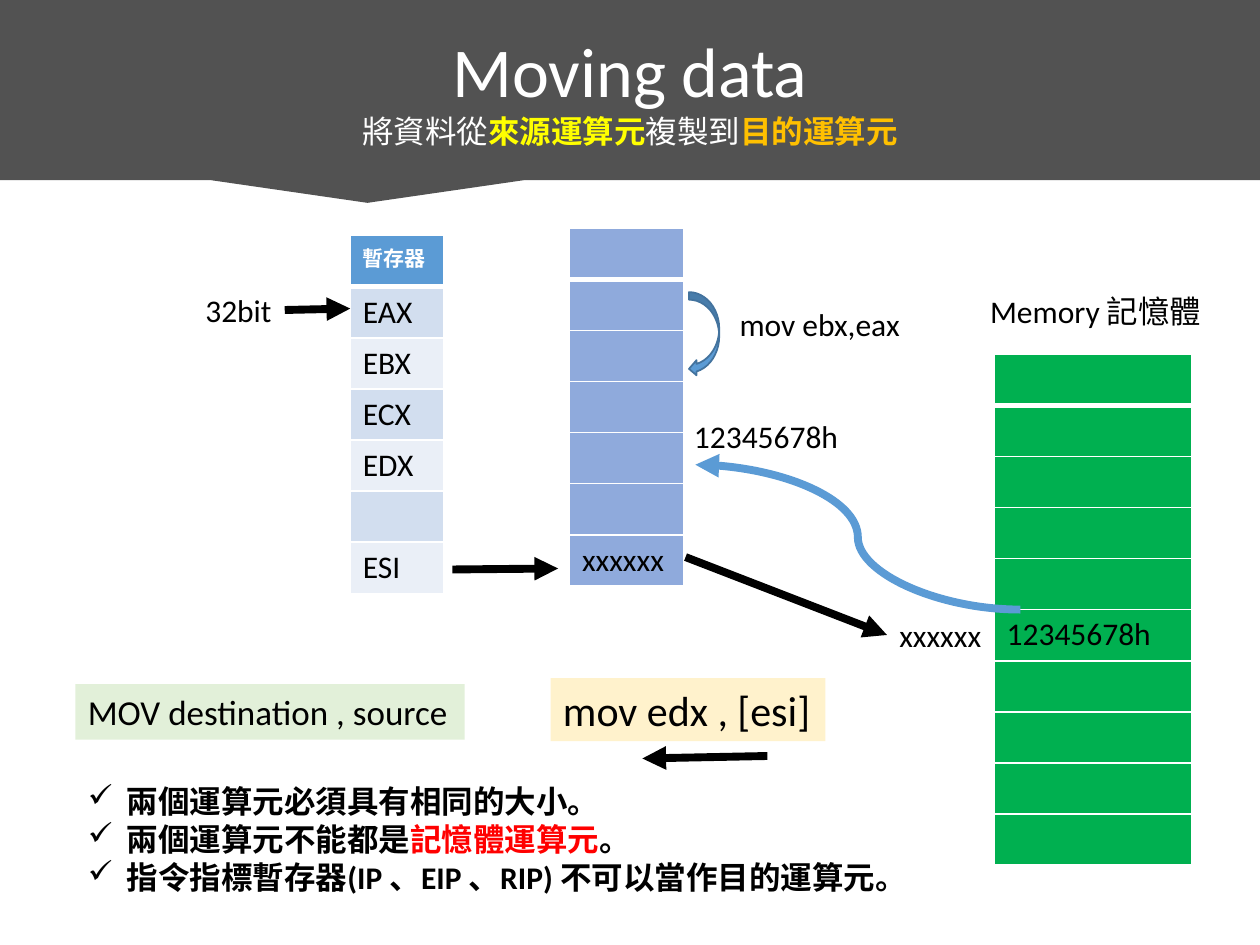
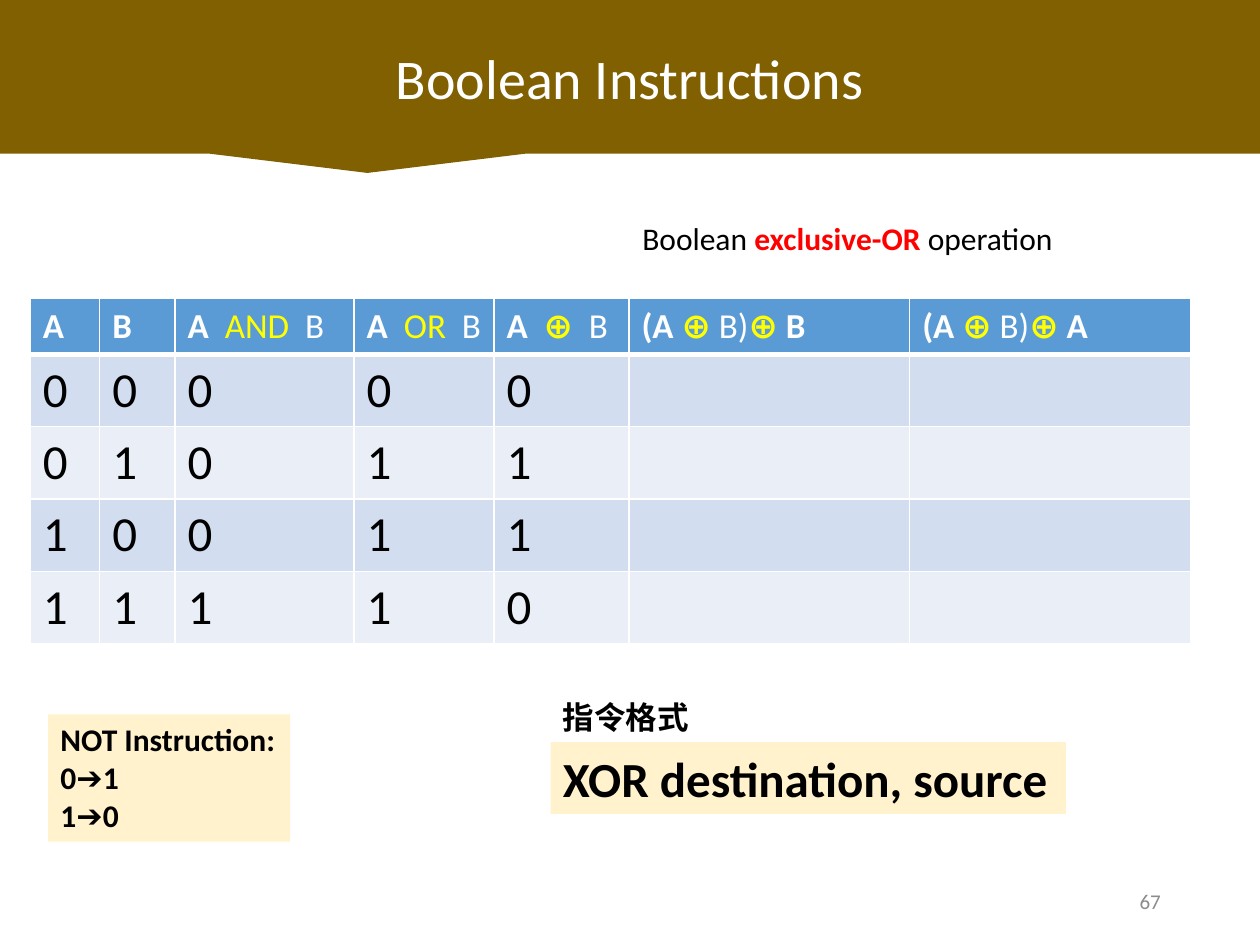
import itertools

import lxml.etree
import pptx
import pptx.dml.color
import pptx.enum.shapes
import pptx.enum.text
import pptx.oxml.ns
import pptx.util

Cm = pptx.util.Cm
Pt = pptx.util.Pt
SHAPE = pptx.enum.shapes.MSO_SHAPE
CONNECTOR = pptx.enum.shapes.MSO_CONNECTOR
ALIGN = pptx.enum.text.PP_ALIGN
ANCHOR = pptx.enum.text.MSO_ANCHOR
AUTO_SIZE = pptx.enum.text.MSO_AUTO_SIZE
qn = pptx.oxml.ns.qn

FONT = "Calibri"
BLACK, WHITE, RED, YELLOW, ORANGE = "000000", "FFFFFF", "FF0000", "FFFF00", "FFC000"
BLUE, BLUE_EDGE, PERIWINKLE, GREEN = "5B9BD5", "43739E", "8FAADC", "00B050"
STRIPES = ("D2DEEF", "EAEFF7")
PALE_GREEN, CREAM, GREY = "E2F0D9", "FFF2CC", "8C8C8C"
SLIDE_WIDTH = 25.4
LINE_HEIGHT = 1.02
ROW_HEIGHT = 1.03


def rgb(value):
    return pptx.dml.color.RGBColor.from_string(value)


def add_xml(parent, tag, **attributes):
    return lxml.etree.SubElement(parent, qn(tag), attributes)


def write(paragraph, runs, size, color=BLACK, bold=False):
    """Add runs; each is a string or a (text, color, bold) tuple."""
    for run_spec in runs:
        if isinstance(run_spec, str):
            run_spec = (run_spec, color, bold)
        text, run_color, run_bold = run_spec
        run = paragraph.add_run()
        run.text = text
        run.font.name = FONT
        run.font.size = Pt(size)
        run.font.bold = run_bold
        run.font.color.rgb = rgb(run_color)


def paragraphs_of(frame, count):
    return [frame.paragraphs[0]] + [frame.add_paragraph() for _ in range(count - 1)]


def add_label(slide, box, lines, size=18, bold=False, fill=None):
    """Place an unwrapped text, on a filled rectangle if a fill is given."""
    place = [Cm(length) for length in box]
    if fill:
        label = slide.shapes.add_shape(SHAPE.RECTANGLE, *place)
        label.shadow.inherit = False
        label.fill.solid()
        label.fill.fore_color.rgb = rgb(fill)
        label.line.fill.background()
    else:
        label = slide.shapes.add_textbox(*place)
    frame = label.text_frame
    frame.word_wrap = False
    frame.auto_size = AUTO_SIZE.SHAPE_TO_FIT_TEXT
    frame.vertical_anchor = ANCHOR.TOP
    for paragraph, runs in zip(paragraphs_of(frame, len(lines)), lines):
        paragraph.alignment = ALIGN.LEFT
        write(paragraph, runs, size, bold=bold)
    return label


def add_arrow(slide, start, end, color=BLACK, kind=CONNECTOR.STRAIGHT):
    arrow = slide.shapes.add_connector(kind, *[Cm(n) for n in start + end])
    arrow.line.color.rgb = rgb(color)
    arrow.line.width = Pt(4.5)
    add_xml(arrow.line._get_or_add_ln(), "a:tailEnd", type="triangle")
    add_xml(arrow._element.spPr, "a:effectLst")
    return arrow


def paint_cell(cell, fill, is_header):
    cell.fill.solid()
    cell.fill.fore_color.rgb = rgb(fill)
    properties = cell._tc.get_or_add_tcPr()
    for position, side in enumerate("LRTB"):
        points = 3 if is_header and side == "B" else 1
        border = add_xml(properties, f"a:ln{side}", w=str(Pt(points)))
        add_xml(add_xml(border, "a:solidFill"), "a:srgbClr", val=WHITE)
        properties.insert(position, border)


def add_grid(slide, left, top, widths, heights, fills):
    """Add a table whose rows take the given fills; the first row is the header."""
    table = slide.shapes.add_table(len(heights), len(widths), Cm(left), Cm(top),
                                   Cm(sum(widths)), Cm(sum(heights))).table
    table.first_row = table.horz_banding = False
    for column, width in zip(table.columns, widths):
        column.width = Cm(width)
    for index, (row, height) in enumerate(zip(table.rows, heights)):
        row.height = Cm(height)
        for cell in row.cells:
            paint_cell(cell, fills[index], index == 0)
    return table


def write_cell(table, row, column, runs, size=18, color=BLACK, bold=False):
    paragraph = table.cell(row, column).text_frame.paragraphs[0]
    write(paragraph, runs, size, color, bold)


def striped(body_rows):
    return [BLUE] + list(itertools.islice(itertools.cycle(STRIPES), body_rows))


def draw_title_band(slide, top, height, fill, title, size, subtitle=()):
    band = slide.shapes.add_shape(SHAPE.RECTANGULAR_CALLOUT, 0, Cm(top),
                                  Cm(SLIDE_WIDTH), Cm(height))
    band.shadow.inherit = False
    band.fill.solid()
    band.fill.fore_color.rgb = rgb(fill)
    band.line.fill.background()
    frame = band.text_frame
    frame.word_wrap = True
    frame.vertical_anchor = ANCHOR.MIDDLE
    lines = [([title], size)] + ([(subtitle, 18)] if subtitle else [])
    for paragraph, (runs, points) in zip(paragraphs_of(frame, len(lines)), lines):
        paragraph.alignment = ALIGN.CENTER
        write(paragraph, runs, points, WHITE)


def draw_registers(slide, left, top):
    registers = ["EAX", "EBX", "ECX", "EDX", "", "ESI"]
    heights = [ROW_HEIGHT] * (len(registers) + 1)
    names = add_grid(slide, left + 3.17, top + 0.15, [1.88], heights,
                     striped(len(registers)))
    write_cell(names, 0, 0, ["暫存器"], 12, WHITE, True)
    for row, register in enumerate(registers, 1):
        if register:
            write_cell(names, row, 0, [register])

    contents = add_grid(slide, left + 7.59, top, [2.31], heights,
                        [PERIWINKLE] * len(heights))
    write_cell(contents, len(registers), 0, ["xxxxxx"])

    width_label = add_label(slide, (left, top + 1.14, 1.85, LINE_HEIGHT), [["32bit"]])
    to_eax = add_arrow(slide, (left + 1.85, top + 1.65), (left + 3.17, top + 1.62))
    to_eax.begin_connect(width_label, 3)
    add_arrow(slide, (left + 5.23, top + 6.88), (left + 7.36, top + 6.86))

    copy_arrow = slide.shapes.add_shape(SHAPE.CURVED_LEFT_ARROW, Cm(left + 10),
                                        Cm(top + 1.29), Cm(0.61), Cm(1.7))
    copy_arrow.shadow.inherit = False
    copy_arrow.fill.solid()
    copy_arrow.fill.fore_color.rgb = rgb(BLUE)
    copy_arrow.line.color.rgb = rgb(BLUE_EDGE)
    copy_arrow.line.width = Pt(1)
    add_label(slide, (left + 10.77, top + 1.42, 3.78, LINE_HEIGHT), [["mov ebx,eax"]])


def draw_memory(slide, left, top):
    cells = 10
    memory = add_grid(slide, left + 6.3, top + 1.37, [3.99], [ROW_HEIGHT] * cells,
                      [GREEN] * cells)
    write_cell(memory, 5, 0, ["12345678h"])
    add_label(slide, (left + 5.97, top, 4.83, LINE_HEIGHT), [["Memory 記憶體"]])
    address = add_label(slide, (left + 4.14, top + 6.52, 2.16, LINE_HEIGHT), [["xxxxxx"]])
    pointer = add_arrow(slide, (left + 0.08, top + 5.46), (left + 4.14, top + 7.03))
    pointer.end_connect(address, 1)
    add_label(slide, (left, top + 2.51, 3.45, LINE_HEIGHT), [["12345678h"]])
    add_arrow(slide, (left + 6.83, top + 6.52), (left + 0.28, top + 3.6), BLUE,
              CONNECTOR.CURVE)


def draw_mov_syntax(slide, left, top):
    add_label(slide, (left, top + 0.12, 7.85, 1.12), [["MOV destination , source"]],
              20, fill=PALE_GREEN)
    add_label(slide, (left + 9.58, top, 5.54, 1.27), [["mov edx , [esi]"]],
              24, fill=CREAM)
    add_arrow(slide, (left + 13.95, top + 1.57), (left + 11.43, top + 1.62))


def draw_rules(slide, left, top, width, height):
    rules = [
        ["兩個運算元必須具有相同的大小。"],
        ["兩個運算元不能都是", ("記憶體運算元", RED, True), "。"],
        ["指令指標暫存器(IP 、EIP 、RIP) 不可以當作目的運算元。"],
    ]
    frame = slide.shapes.add_textbox(Cm(left), Cm(top), Cm(width), Cm(height)).text_frame
    frame.word_wrap = True
    for paragraph, runs in zip(paragraphs_of(frame, len(rules)), rules):
        properties = paragraph._p.get_or_add_pPr()
        properties.set("marL", str(Cm(0.79)))
        properties.set("indent", str(-Cm(0.79)))
        add_xml(properties, "a:buChar", char="✓")
        write(paragraph, runs, 18, bold=True)


def draw_truth_table(slide, left, top):
    xor = ("⊕ ", YELLOW, True)
    headers = [
        ["A"],
        ["B"],
        ["A  ", ("AND  ", YELLOW, False), ("B", WHITE, False)],
        ["A  ", ("OR  ", YELLOW, False), ("B", WHITE, False)],
        ["A  ", ("⊕  ", YELLOW, True), ("B", WHITE, False)],
    ] + [["(A ", xor, ("B)", WHITE, False), xor, operand] for operand in "BA"]
    table = add_grid(slide, left, top, [1.4, 1.52, 3.61, 2.82, 2.72, 5.66, 5.66],
                     [1.12] + [1.46] * 4, striped(4))
    for column, runs in enumerate(headers):
        write_cell(table, 0, column, runs, 20, WHITE, True)
    for row, (a, b) in enumerate(itertools.product((0, 1), repeat=2), 1):
        for column, value in enumerate((a, b, a & b, a | b, a ^ b)):
            write_cell(table, row, column, [str(value)], 28)


def draw_xor_format(slide, left, top):
    add_label(slide, (left, top, 3.07, LINE_HEIGHT), [["指令格式"]], bold=True)
    add_label(slide, (left, top + LINE_HEIGHT, 10.39, 1.45),
              [["XOR destination, source"]], 28, True, CREAM)


def draw_page_number(slide, left, top, width, height, number):
    frame = slide.shapes.add_textbox(Cm(left), Cm(top), Cm(width), Cm(height)).text_frame
    frame.word_wrap = True
    frame.vertical_anchor = ANCHOR.MIDDLE
    frame.paragraphs[0].alignment = ALIGN.RIGHT
    write(frame.paragraphs[0], [number], 12, GREY)


def build_moving_data(slide):
    draw_registers(slide, 3.89, 4.6)
    draw_memory(slide, 13.74, 5.77)
    draw_mov_syntax(slide, 1.52, 13.67)
    draw_rules(slide, 1.52, 15.65, 17.35, 2.57)
    draw_title_band(slide, -0.05, 3.68, "525252", "Moving data", 40,
                    ["將資料從", ("來源運算元", YELLOW, True), "複製到",
                     ("目的運算元", ORANGE, True)])


def build_boolean_instructions(slide):
    draw_page_number(slide, 17.93, 17.65, 5.72, LINE_HEIGHT, "67")
    draw_title_band(slide, 0, 3.1, "806000", "Boolean Instructions", 32)
    draw_truth_table(slide, 0.61, 6.02)
    add_label(slide, (12.7, 4.29, 8.79, LINE_HEIGHT),
              [["Boolean ", ("exclusive-OR", RED, True), " operation"]])
    add_label(slide, (0.97, 14.4, 4.88, 2.57),
              [["NOT Instruction:"], ["0➔1"], ["1➔0"]], bold=True, fill=CREAM)
    draw_xor_format(slide, 11.1, 13.94)


def main():
    deck = pptx.Presentation()
    deck.slide_width, deck.slide_height = Cm(SLIDE_WIDTH), Cm(19.05)
    for build in (build_moving_data, build_boolean_instructions):
        build(deck.slides.add_slide(deck.slide_layouts[6]))
    deck.save("out.pptx")


if __name__ == "__main__":
    main()
